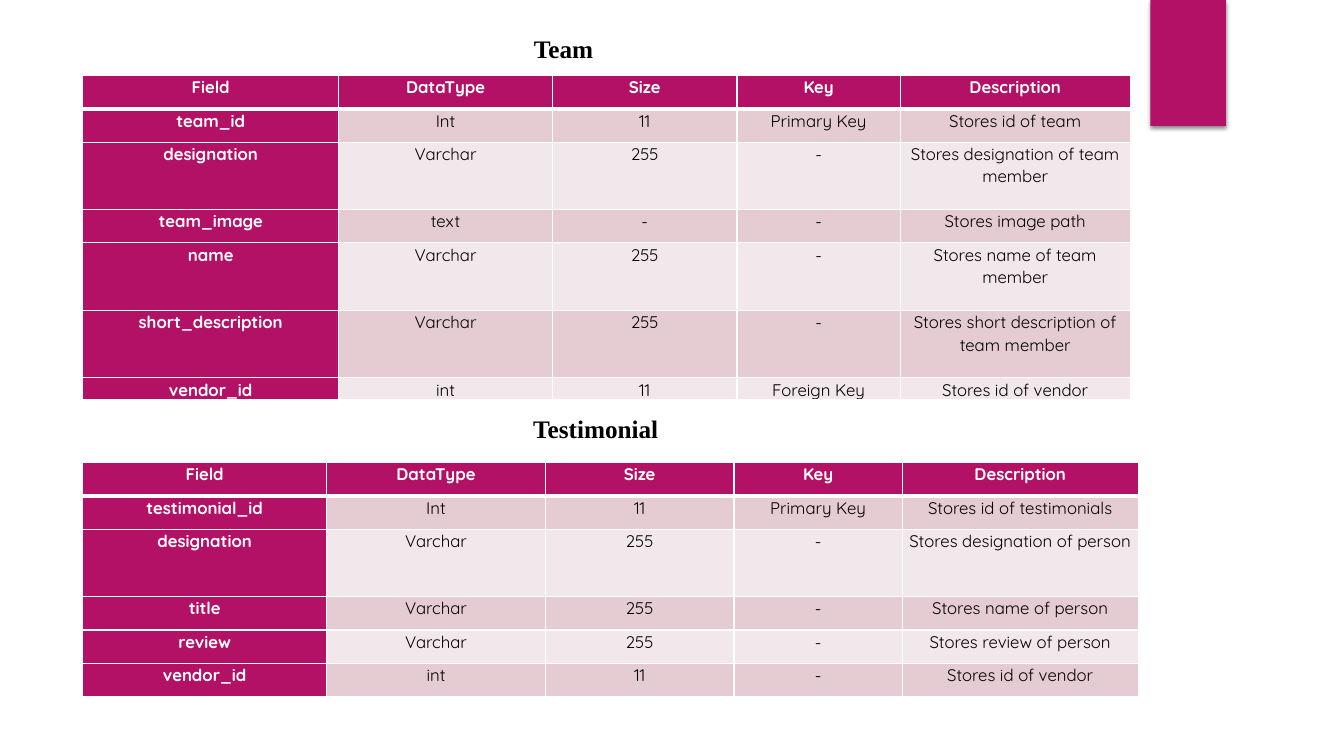
from lxml import etree
from pptx import Presentation
from pptx.dml.color import RGBColor
from pptx.enum.shapes import MSO_SHAPE
from pptx.enum.text import MSO_ANCHOR, MSO_AUTO_SIZE, PP_ALIGN
from pptx.oxml import parse_xml
from pptx.util import Inches, Pt

RECT = MSO_SHAPE.RECTANGLE
TOP = MSO_ANCHOR.TOP
CENTER = PP_ALIGN.CENTER
GROW = MSO_AUTO_SIZE.SHAPE_TO_FIT_TEXT
NS = "http://schemas.openxmlformats.org/drawingml/2006/main"
MAGENTA, WHITE, BLACK = "B31166", "FFFFFF", "000000"
BANDS = ["F2E7EA", "E5CCD3"]


def rgb(value):
    return RGBColor.from_string(value)


def style_run(r, font, size, color, bold):
    r.font.name = font
    r.font.size = Pt(size)
    r.font.color.rgb = rgb(color)
    r.font.bold = bold


HEADER = ["Field", "DataType", "Size", "Key", "Description"]
TEAM = [
    HEADER,
    ["team_id", "Int", "11", "Primary Key", "Stores id of team"],
    ["designation", "Varchar", "255", "-", "Stores designation of team member"],
    ["team_image", "text", "-", "-", "Stores image path"],
    ["name", "Varchar", "255", "-", "Stores name of team member"],
    ["short_description", "Varchar", "255", "-", "Stores short description of team member"],
    ["vendor_id", "int", "11", "Foreign Key", "Stores id of vendor"],
]
TESTIMONIAL = [
    HEADER,
    ["testimonial_id", "Int", "11", "Primary Key", "Stores id of testimonials"],
    ["designation", "Varchar", "255", "-", "Stores designation of person"],
    ["title", "Varchar", "255", "-", "Stores name of person"],
    ["review", "Varchar", "255", "-", "Stores review of person"],
    ["vendor_id", "int", "11", "-", "Stores id of vendor"],
]
TABLES = [
    (0.75, TEAM, [2.54, 2.12, 1.83, 1.62, 2.28], [0.33, 0.33, 0.67, 0.33, 0.67, 0.67, 0.2]),
    (4.59, TESTIMONIAL, [2.42, 2.17, 1.87, 1.67, 2.34], [0.33, 0.33, 0.67, 0.33, 0.33, 0.33]),
]
TITLES = [(" Team", 5.14, 0.28, 3, True), ("Testimonial", 5.19, 4.05, 1.46, False)]

prs = Presentation()
prs.slide_width = Inches(13.33)
prs.slide_height = Inches(7.5)
s = prs.slides.add_slide(prs.slide_layouts[6])

tab = s.shapes.add_shape(RECT, Inches(11.41), 0, Inches(0.75), Inches(1.25))
tab.fill.solid()
tab.fill.fore_color.rgb = rgb(MAGENTA)
tab.line.fill.background()
tab.shadow.inherit = False
effects = tab._element.spPr.find(f"{{{NS}}}effectLst")
effects.append(parse_xml(
    f'<a:outerShdw xmlns:a="{NS}" blurRad="{Pt(3)}" dist="{Pt(2)}" dir="5400000" rotWithShape="0">'
    f'<a:srgbClr val="{BLACK}"><a:alpha val="45000"/></a:srgbClr></a:outerShdw>'))

for text, left, top, width, wrap in TITLES:
    sp = s.shapes.add_textbox(Inches(left), Inches(top), Inches(width), Inches(0.4))
    tf = sp.text_frame
    tf.word_wrap = wrap
    tf.auto_size = GROW
    tf.text = text
    style_run(tf.paragraphs[0].runs[0], "Times New Roman", 18, BLACK, True)

for top, rows, widths, heights in TABLES:
    table = s.shapes.add_table(
        len(rows), len(widths), Inches(0.82), Inches(top),
        Inches(sum(widths)), Inches(sum(heights))).table
    for column, width in zip(table.columns, widths):
        column.width = Inches(width)
    for i, (row, height) in enumerate(zip(rows, heights)):
        table.rows[i].height = Inches(height)
        for j, text in enumerate(row):
            heading = i == 0 or j == 0
            cell = table.cell(i, j)
            cell.margin_left = cell.margin_right = Inches(0.07)
            cell.margin_top = cell.margin_bottom = 0
            cell.vertical_anchor = TOP
            cell.fill.solid()
            cell.fill.fore_color.rgb = rgb(MAGENTA if heading else BANDS[i % 2])
            cell.text_frame.text = text
            p = cell.text_frame.paragraphs[0]
            p.alignment = CENTER
            p.line_spacing = 1.07
            style_run(p.runs[0], "Quicksand", 12, WHITE if heading else BLACK, heading)
            tcPr = cell._tc.get_or_add_tcPr()
            for k, side in enumerate(["lnL", "lnR", "lnT", "lnB"]):
                thick = (i, side) in [(0, "lnB"), (1, "lnT")]
                ln = etree.Element(f"{{{NS}}}{side}", w=str(Pt(3 if thick else 1)))
                fill = etree.SubElement(ln, f"{{{NS}}}solidFill")
                etree.SubElement(fill, f"{{{NS}}}srgbClr", val=WHITE)
                tcPr.insert(k, ln)

prs.save("out.pptx")
